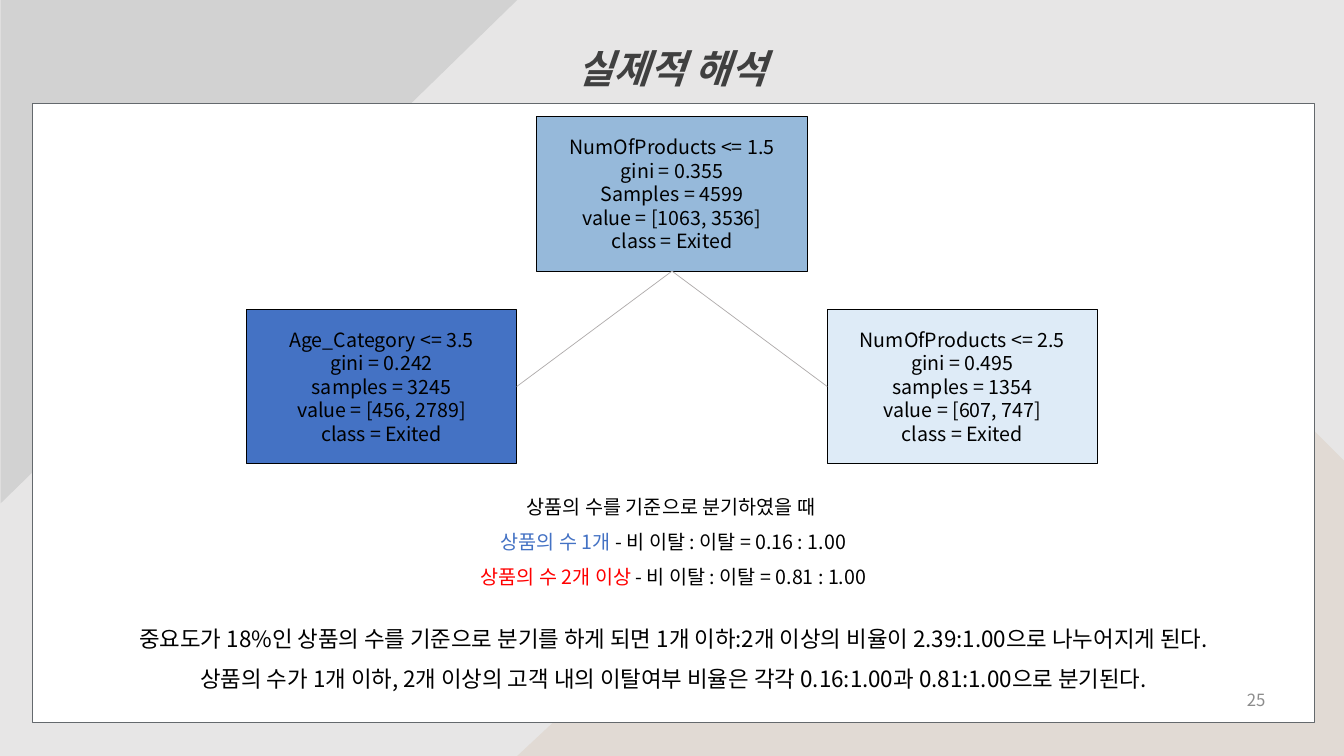
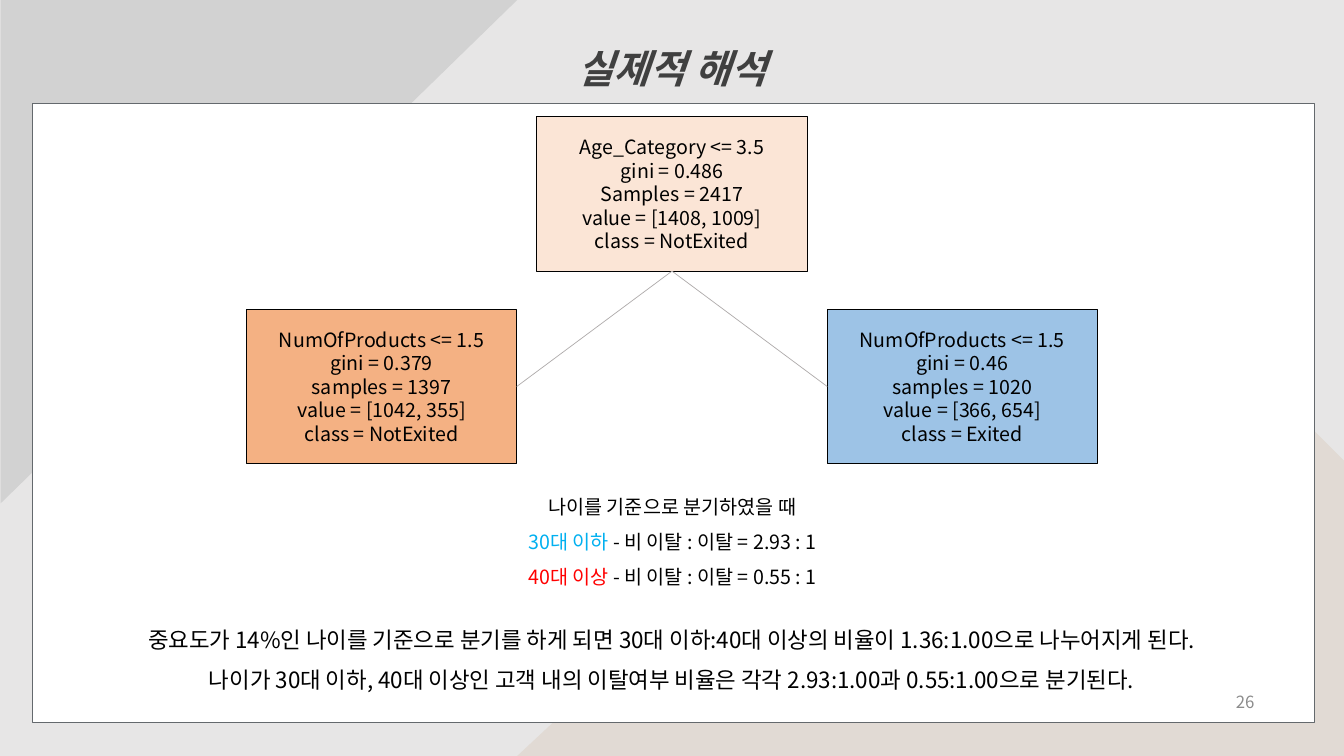
import pptx
import pptx.util
from lxml import etree
from pptx.dml.color import RGBColor
from pptx.enum.shapes import MSO_CONNECTOR, MSO_SHAPE
from pptx.enum.text import MSO_ANCHOR, MSO_AUTO_SIZE, PP_ALIGN
from pptx.oxml.ns import qn
from pptx.util import Inches, Pt

WIDTH, HEIGHT = 13.33, 7.5
FONT = "Noto Sans CJK KR"

BACKGROUND = RGBColor(0xE7, 0xE6, 0xE6)
CORNER_GRAY = RGBColor(0xD2, 0xD2, 0xD2)
CORNER_BEIGE = RGBColor(0xE1, 0xDA, 0xD4)
PANEL_LINE = RGBColor(0x64, 0x69, 0x6D)
BRANCH_GRAY = RGBColor(0xAF, 0xAB, 0xAB)
TITLE_GRAY = RGBColor(0x40, 0x40, 0x40)
NUMBER_GRAY = RGBColor(0x8C, 0x8C, 0x8C)
WHITE = RGBColor(0xFF, 0xFF, 0xFF)
BLACK = RGBColor(0x00, 0x00, 0x00)
RED = RGBColor(0xFF, 0x00, 0x00)
SKY = RGBColor(0x00, 0xB0, 0xF0)
ROYAL = RGBColor(0x44, 0x72, 0xC4)
STEEL = RGBColor(0x2E, 0x75, 0xB6)
PALE_BLUE = RGBColor(0xDE, 0xEB, 0xF7)
SOFT_BLUE = RGBColor(0x9D, 0xC3, 0xE6)
PALE_ORANGE = RGBColor(0xFB, 0xE5, 0xD6)
ORANGE = RGBColor(0xF4, 0xB1, 0x83)

# Each tree lists its root, left child and right child.
SLIDES = [
    {
        "title": "실제적 해석",
        "tree": [
            {"fill": STEEL, "opacity": 50, "lines": [
                "NumOfProducts <= 1.5", "gini = 0.355", "Samples = 4599",
                "value = [1063, 3536]", "class = Exited"]},
            {"fill": ROYAL, "border": 1, "lines": [
                "Age_Category <= 3.5", "gini = 0.242", "samples = 3245",
                "value = [456, 2789]", "class = Exited"]},
            {"fill": PALE_BLUE, "lines": [
                "NumOfProducts <= 2.5", "gini = 0.495", "samples = 1354",
                "value = [607, 747]", "class = Exited"]},
        ],
        "ratios": [
            [("상품의 수를 기준으로 분기하였을 때 ", BLACK)],
            [("상품의 수 1개 ", ROYAL), ("- 비 이탈 : 이탈 = 0.16 : 1.00", BLACK)],
            [("상품의 수 2개 이상 ", RED), ("- 비 이탈 : 이탈 = 0.81 : 1.00", BLACK)],
        ],
        "ratios_at": (3.26, 4.74),
        "summary": [
            "중요도가 18%인 상품의 수를 기준으로 분기를 하게 되면 1개 이하:2개 이상의 비율이 2.39:1.00으로 나누어지게 된다.",
            "상품의 수가 1개 이하, 2개 이상의 고객 내의 이탈여부 비율은 각각 0.16:1.00과 0.81:1.00으로 분기된다.",
        ],
        "summary_at": (0.76, 6.02),
        "number": "25",
        "number_at": (9.65, 6.74),
    },
    {
        "title": "실제적 해석",
        "tree": [
            {"fill": PALE_ORANGE, "lines": [
                "Age_Category <= 3.5", "gini = 0.486", "Samples = 2417",
                "value = [1408, 1009]", "class = NotExited"]},
            {"fill": ORANGE, "lines": [
                "NumOfProducts <= 1.5", "gini = 0.379", "samples = 1397",
                "value = [1042, 355]", "class = NotExited"]},
            {"fill": SOFT_BLUE, "lines": [
                "NumOfProducts <= 1.5", "gini = 0.46", "samples = 1020",
                "value = [366, 654]", "class = Exited"]},
        ],
        "ratios": [
            [("나이를 기준으로 분기하였을 때", BLACK)],
            [("30대 이하 ", SKY), ("- 비 이탈 : 이탈 = 2.93 : 1", BLACK)],
            [("40대 이상 ", RED), ("- 비 이탈 : 이탈 = 0.55 : 1", BLACK)],
        ],
        "ratios_at": (3.25, 4.74),
        "summary": [
            "중요도가 14%인 나이를 기준으로 분기를 하게 되면 30대 이하:40대 이상의 비율이 1.36:1.00으로 나누어지게 된다.",
            "나이가 30대 이하, 40대 이상인 고객 내의 이탈여부 비율은 각각 2.93:1.00과 0.55:1.00으로 분기된다.",
        ],
        "summary_at": (0.74, 6.03),
        "number": "26",
        "number_at": (9.54, 6.76),
    },
]

NODE_W, NODE_H = 2.68, 1.53
NODE_TOPS = (1.16, 3.07)
NODE_STEP = 2.88
NODE_PLACES = [(0, 0), (-1, 1), (1, 1)]  # columns from the centre, level
SITE_LEFT, SITE_BOTTOM, SITE_RIGHT = 1, 2, 3

CENTERED = {"alignment": PP_ALIGN.CENTER, "line_spacing": 1.0}
SPACED = {"alignment": PP_ALIGN.CENTER, "line_spacing": 1.5}
RIGHT = {"alignment": PP_ALIGN.RIGHT}
GROWING = {"word_wrap": True, "vertical_anchor": MSO_ANCHOR.TOP,
           "auto_size": MSO_AUTO_SIZE.SHAPE_TO_FIT_TEXT}
MIDDLE = {"word_wrap": True, "vertical_anchor": MSO_ANCHOR.MIDDLE}
TITLE_FONT = {"size": Pt(28), "bold": True, "italic": True}


def apply_format(target, values):
    for name, value in values.items():
        setattr(target, name, value)


def inches(*lengths):
    return [Inches(length) for length in lengths]


def write(frame, paragraphs, frame_format, paragraph_format, font_format):
    """Fill a text frame; each paragraph is a list of (text, colour) runs."""
    apply_format(frame, frame_format)
    for index, pieces in enumerate(paragraphs):
        paragraph = frame.add_paragraph() if index else frame.paragraphs[0]
        apply_format(paragraph, paragraph_format)
        for text, color in pieces:
            run = paragraph.add_run()
            run.text = text
            apply_format(run.font, font_format)
            run.font.color.rgb = color
            run.font.name = FONT
            etree.SubElement(run.font._element, qn("a:ea"), typeface=FONT)


def paint(shape, fill, border=None, border_width=1):
    shape.shadow.inherit = False
    shape.fill.solid()
    shape.fill.fore_color.rgb = fill
    if border is None:
        shape.line.fill.background()
    else:
        shape.line.color.rgb = border
        shape.line.width = Pt(border_width)


def add_backdrop(shapes):
    beige = [(10.44, 2.54), (11.3, 2.54), (WIDTH, 4.57), (WIDTH, HEIGHT), (5.13, HEIGHT)]
    outline = shapes.build_freeform(*inches(*beige[0]), scale=1.0)
    outline.add_line_segments([inches(*point) for point in beige[1:]], close=True)
    paint(outline.convert_to_shape(), CORNER_BEIGE)

    corner = shapes.add_shape(MSO_SHAPE.RIGHT_TRIANGLE, *inches(0.07, -0.07, 5, 5.13))
    corner.rotation = 90
    paint(corner, CORNER_GRAY)

    panel = shapes.add_shape(MSO_SHAPE.RECTANGLE, *inches(0.32, 1.03, 12.72, 6.14))
    paint(panel, WHITE, PANEL_LINE)


def place_title(slide, text):
    title = slide.shapes.title
    slide.shapes._spTree.append(title._element)  # bring in front of the backdrop
    left, top, width, height = inches(2.88, 0.16, 7.57, 0.72)
    apply_format(title, {"left": left, "top": top, "width": width, "height": height})
    write(title.text_frame, [[(text, TITLE_GRAY)]], GROWING, SPACED, TITLE_FONT)


def add_text(shapes, place, size, paragraphs, frame_format, paragraph_format, points):
    box = shapes.add_textbox(*inches(*place, *size))
    write(box.text_frame, paragraphs, frame_format, paragraph_format, {"size": Pt(points)})


def add_node(shapes, node, column, level):
    left = (WIDTH - NODE_W) / 2 + column * NODE_STEP
    box = shapes.add_shape(MSO_SHAPE.RECTANGLE,
                           *inches(left, NODE_TOPS[level], NODE_W, NODE_H))
    paint(box, node["fill"], BLACK, node.get("border", 0.75))
    if "opacity" in node:
        color = box._element.spPr.find(qn("a:solidFill"))[0]
        etree.SubElement(color, qn("a:alpha"), val=str(node["opacity"] * 1000))
    write(box.text_frame, [[(line, BLACK)] for line in node["lines"]],
          MIDDLE, CENTERED, {"size": Pt(14)})
    return box


def add_branch(shapes, parent, child, child_site):
    branch = shapes.add_connector(MSO_CONNECTOR.STRAIGHT, 0, 0, 0, 0)
    branch.begin_connect(parent, SITE_BOTTOM)
    branch.end_connect(child, child_site)
    branch.line.color.rgb = BRANCH_GRAY
    branch.line.width = Pt(0.5)
    etree.SubElement(branch._element.spPr, qn("a:effectLst"))


def build_slide(deck, content):
    slide = deck.slides.add_slide(deck.slide_layouts.get_by_name("Title Only"))
    shapes = slide.shapes
    add_backdrop(shapes)
    place_title(slide, content["title"])
    add_text(shapes, content["ratios_at"], (6.84, 1.13), content["ratios"],
             GROWING, SPACED, 14)
    root, left, right = [add_node(shapes, node, *place)
                         for node, place in zip(content["tree"], NODE_PLACES)]
    add_branch(shapes, root, right, SITE_LEFT)
    add_branch(shapes, root, left, SITE_RIGHT)
    add_text(shapes, content["number_at"], (3, 0.4),
             [[(content["number"], NUMBER_GRAY)]], MIDDLE, RIGHT, 12)
    add_text(shapes, content["summary_at"], (11.84, 0.86),
             [[(line, BLACK)] for line in content["summary"]], GROWING, SPACED, 16)


def main():
    deck = pptx.Presentation()
    deck.slide_width, deck.slide_height = inches(WIDTH, HEIGHT)
    background = deck.slide_master.background.fill
    background.solid()
    background.fore_color.rgb = BACKGROUND
    for content in SLIDES:
        build_slide(deck, content)
    deck.save("out.pptx")


if __name__ == "__main__":
    main()
